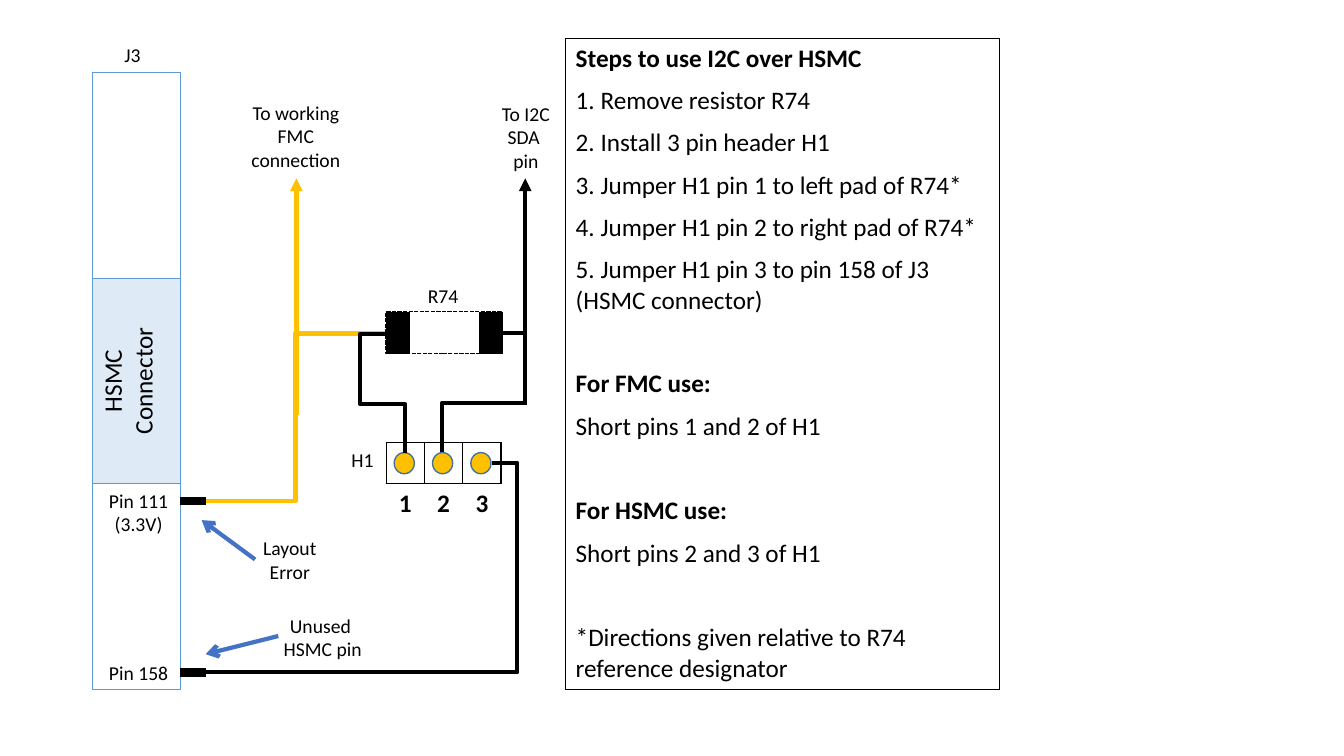
from dataclasses import dataclass

from lxml.etree import SubElement
from pptx import Presentation
from pptx.dml.color import RGBColor
from pptx.enum.dml import MSO_LINE
from pptx.enum.shapes import MSO_CONNECTOR, MSO_SHAPE
from pptx.enum.text import MSO_AUTO_SIZE, PP_ALIGN
from pptx.oxml.ns import qn
from pptx.util import Inches, Pt

COLORS = {
    "black": "000000",
    "amber": "FFC000",
    "connector_edge": "5B9BD5",
    "connector_fill": "DEEBF7",
    "pad_edge": "43739E",
    "pointer": "4472C4",
}
PLAIN_TABLE_STYLE = "{2D5ABB26-0587-4C30-8999-92F81FD0307C}"


@dataclass
class Grid:
    left: float
    top: float
    columns: list[float]
    rows: list[float]
    texts: dict[tuple[int, int], str]
    fills: dict[tuple[int, int], str]
    border: str = ""
    inner_rows: bool = False
    inner_columns: bool = False
    centered: bool = True
    bold_rows: tuple[int, ...] = ()
    vertical: str = "horz"


@dataclass
class Label:
    text: str
    left: float
    top: float
    width: float
    height: float


@dataclass
class Line:
    start: tuple[float, float]
    end: tuple[float, float]
    color: str
    width: float = 3
    head: str = ""
    tail: str = ""


@dataclass
class Elbow:
    left: float
    top: float
    width: float
    height: float
    color: str
    preset: str
    flips: str
    rotation: int = 0
    bends: tuple[float, ...] = ()


def rgb(name: str) -> RGBColor:
    return RGBColor.from_string(COLORS[name])


def write_text(frame, text: str, *, size: float = 14, bold: bool = False,
               align=PP_ALIGN.CENTER) -> None:
    for index, content in enumerate(text.split("\n")):
        paragraph = frame.add_paragraph() if index else frame.paragraphs[0]
        paragraph.alignment = align
        run = paragraph.add_run()
        run.text = content
        run.font.name = "Calibri"
        run.font.size = Pt(size)
        run.font.bold = bold
        run.font.color.rgb = rgb("black")


def add_border(properties, side: str, color: str) -> None:
    edge = SubElement(properties, qn(f"a:ln{side}"), w=str(Pt(1)))
    fill = SubElement(edge, qn("a:solidFill"))
    SubElement(fill, qn("a:srgbClr"), val=COLORS[color])


def draw_grid(shapes, grid: Grid) -> None:
    last_row, last_column = len(grid.rows) - 1, len(grid.columns) - 1
    frame = shapes.add_table(
        last_row + 1, last_column + 1, Inches(grid.left), Inches(grid.top),
        Inches(sum(grid.columns)), Inches(sum(grid.rows)))
    frame.element.find(".//" + qn("a:tableStyleId")).text = PLAIN_TABLE_STYLE
    table = frame.table
    table.first_row = table.horz_banding = False
    for column, width in zip(table.columns, grid.columns):
        column.width = Inches(width)
    for r, height in enumerate(grid.rows):
        table.rows[r].height = Inches(height)
        for c in range(last_column + 1):
            cell = table.cell(r, c)
            properties = cell._tc.get_or_add_tcPr()
            sides = {
                "L": c == 0 or grid.inner_columns,
                "R": c == last_column or grid.inner_columns,
                "T": r == 0 or grid.inner_rows,
                "B": r == last_row or grid.inner_rows,
            }
            for side, shown in sides.items():
                if grid.border and shown:
                    add_border(properties, side, grid.border)
            if (r, c) in grid.fills:
                cell.fill.solid()
                cell.fill.fore_color.rgb = rgb(grid.fills[r, c])
            else:
                cell.fill.background()
            if (r, c) in grid.texts:
                properties.set("vert", grid.vertical)
                write_text(cell.text_frame, grid.texts[r, c], size=18,
                           bold=r in grid.bold_rows,
                           align=PP_ALIGN.CENTER if grid.centered else PP_ALIGN.LEFT)


def draw_label(shapes, label: Label) -> None:
    box = shapes.add_textbox(Inches(label.left), Inches(label.top),
                             Inches(label.width), Inches(label.height))
    box.text_frame.word_wrap = True
    box.text_frame.auto_size = MSO_AUTO_SIZE.SHAPE_TO_FIT_TEXT
    write_text(box.text_frame, label.text)


def draw_line(shapes, line: Line):
    connector = shapes.add_connector(
        MSO_CONNECTOR.STRAIGHT, *map(Inches, line.start + line.end))
    connector.line.color.rgb = rgb(line.color)
    connector.line.width = Pt(line.width)
    outline = connector.line._get_or_add_ln()
    for tag, arrow in (("a:headEnd", line.head), ("a:tailEnd", line.tail)):
        if arrow:
            SubElement(outline, qn(tag), type=arrow)
    SubElement(connector.element.spPr, qn("a:effectLst"))
    return connector


def draw_elbow(shapes, elbow: Elbow) -> None:
    corner = (elbow.left + elbow.width, elbow.top + elbow.height)
    connector = draw_line(shapes, Line((elbow.left, elbow.top), corner, elbow.color))
    properties = connector.element.spPr
    transform = properties.find(qn("a:xfrm"))
    transform.set("rot", str(elbow.rotation * 60000))
    for flip in elbow.flips:
        transform.set(f"flip{flip}", "1")
    geometry = properties.find(qn("a:prstGeom"))
    geometry.set("prst", elbow.preset)
    adjustments = geometry.find(qn("a:avLst"))
    for number, bend in enumerate(elbow.bends, 1):
        name = f"adj{number}"
        SubElement(adjustments, qn("a:gd"), name=name,
                   fmla=f"val {round(bend * 100000)}")


def draw_shape(shapes, kind, left: float, top: float, width: float, height: float,
               edge: str, fill: str = ""):
    shape = shapes.add_shape(kind, *map(Inches, (left, top, width, height)))
    shape.shadow.inherit = False
    if fill:
        shape.fill.solid()
        shape.fill.fore_color.rgb = rgb(fill)
    else:
        shape.fill.background()
    shape.line.color.rgb = rgb(edge)
    shape.line.width = Pt(1)
    return shape


STEPS = {
    0: "Steps to use I2C over HSMC",
    1: "1. Remove resistor R74",
    2: "2. Install 3 pin header H1",
    3: "3. Jumper H1 pin 1 to left pad of R74*",
    4: "4. Jumper H1 pin 2 to right pad of R74*",
    5: "5. Jumper H1 pin 3 to pin 158 of J3 (HSMC connector)",
    7: "For FMC use:",
    8: "Short pins 1 and 2 of H1",
    10: "For HSMC use:",
    11: "Short pins 2 and 3 of H1",
    13: "*Directions given relative to R74 reference designator",
}
GRIDS = [
    Grid(0.92, 0.72, [0.87], [2.04] * 3, {(1, 0): "HSMC\nConnector"},
         {(1, 0): "connector_fill"}, "connector_edge", inner_rows=True,
         vertical="vert270"),
    Grid(3.83, 3.1, [0.23, 0.68, 0.23], [0.41], {},
         {(0, 0): "black", (0, 2): "black"}),
    Grid(3.83, 4.39, [0.38] * 3, [0.41], {}, {}, "black", inner_columns=True),
    Grid(3.83, 4.8, [0.38] * 3, [0.41],
         {(0, pin): str(pin + 1) for pin in range(3)}, {}, bold_rows=(0,)),
    Grid(5.61, 0.38, [4.3], [0.71 if row in (5, 13) else 0.42 for row in range(14)],
         {(row, 0): step for row, step in STEPS.items()}, {}, "black",
         centered=False, bold_rows=(0, 7, 10)),
]
ELBOWS = [
    Elbow(2.04, 3.31, 1.78, 1.66, "amber", "bentConnector3", "V"),
    Elbow(1.89, 4.59, 2.99, 2.08, "black", "bentConnector3", "H", 0, (-0.084,)),
    Elbow(4.08, 3.61, 1.18, 0.57, "black", "bentConnector4", "HV", 90, (0.414, 1.442)),
    Elbow(3.33, 3.81, 1.18, 0.19, "black", "bentConnector4", "V", 270, (0.414, 2.348)),
]
LINES = [
    Line((1.79, 4.97), (2.04, 4.97), "black", 6),
    Line((1.79, 6.67), (2.04, 6.67), "black", 6),
    Line((2.94, 4.12), (2.94, 1.77), "amber", tail="triangle"),
    Line((5.21, 4.02), (5.21, 1.77), "black", tail="triangle"),
    Line((2, 5.16), (2.53, 5.55), "pointer", head="arrow"),
    Line((2.04, 6.49), (2.76, 6.31), "pointer", head="arrow"),
]
LABELS = [
    Label("J3", 0.92, 0.38, 0.79, 0.34),
    Label("Pin 111\n(3.3V)", 0.98, 4.8, 0.79, 0.57),
    Label("Pin 158", 0.98, 6.51, 0.79, 0.34),
    Label("R74", 3.83, 2.77, 1.13, 0.34),
    Label("H1", 3.38, 4.39, 0.43, 0.34),
    Label("To working FMC connection", 2.37, 0.95, 1.13, 0.81),
    Label("To I2C\nSDA \npin", 4.87, 0.96, 0.69, 0.81),
    Label("Layout Error", 2.31, 5.27, 1.13, 0.57),
    Label("Unused \nHSMC pin", 2.59, 6.04, 1.22, 0.57),
]


def main() -> None:
    deck = Presentation()
    deck.slide_width, deck.slide_height = Inches(13.33), Inches(7.5)
    shapes = deck.slides.add_slide(deck.slide_layouts[6]).shapes
    for grid in GRIDS:
        draw_grid(shapes, grid)
    resistor = draw_shape(shapes, MSO_SHAPE.RECTANGLE, 3.83, 3.09, 1.14, 0.42, "black")
    resistor.line.dash_style = MSO_LINE.SQUARE_DOT
    for pin in range(3):
        draw_shape(shapes, MSO_SHAPE.OVAL, 3.91 + 0.38 * pin, 4.49, 0.2, 0.21,
                   "pad_edge", "amber")
    for elbow in ELBOWS:
        draw_elbow(shapes, elbow)
    for line in LINES:
        draw_line(shapes, line)
    for label in LABELS:
        draw_label(shapes, label)
    deck.save("out.pptx")


if __name__ == "__main__":
    main()
